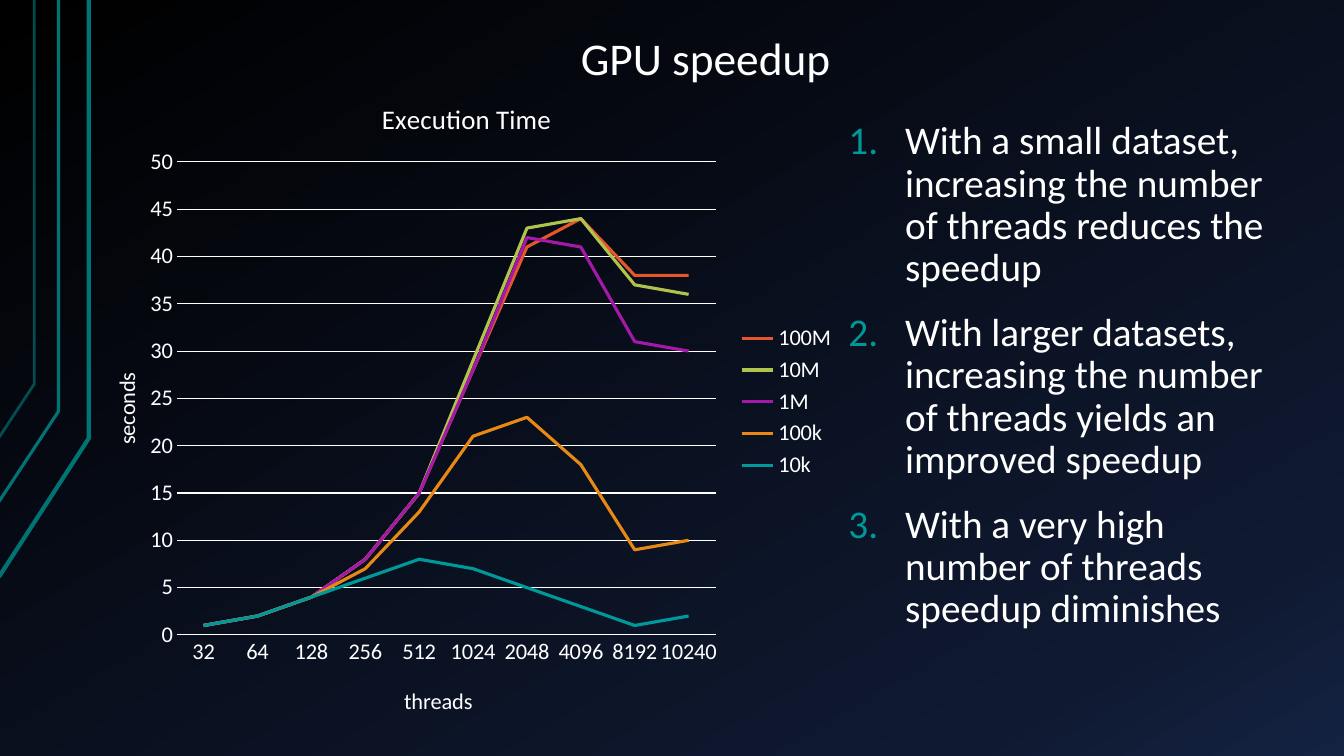
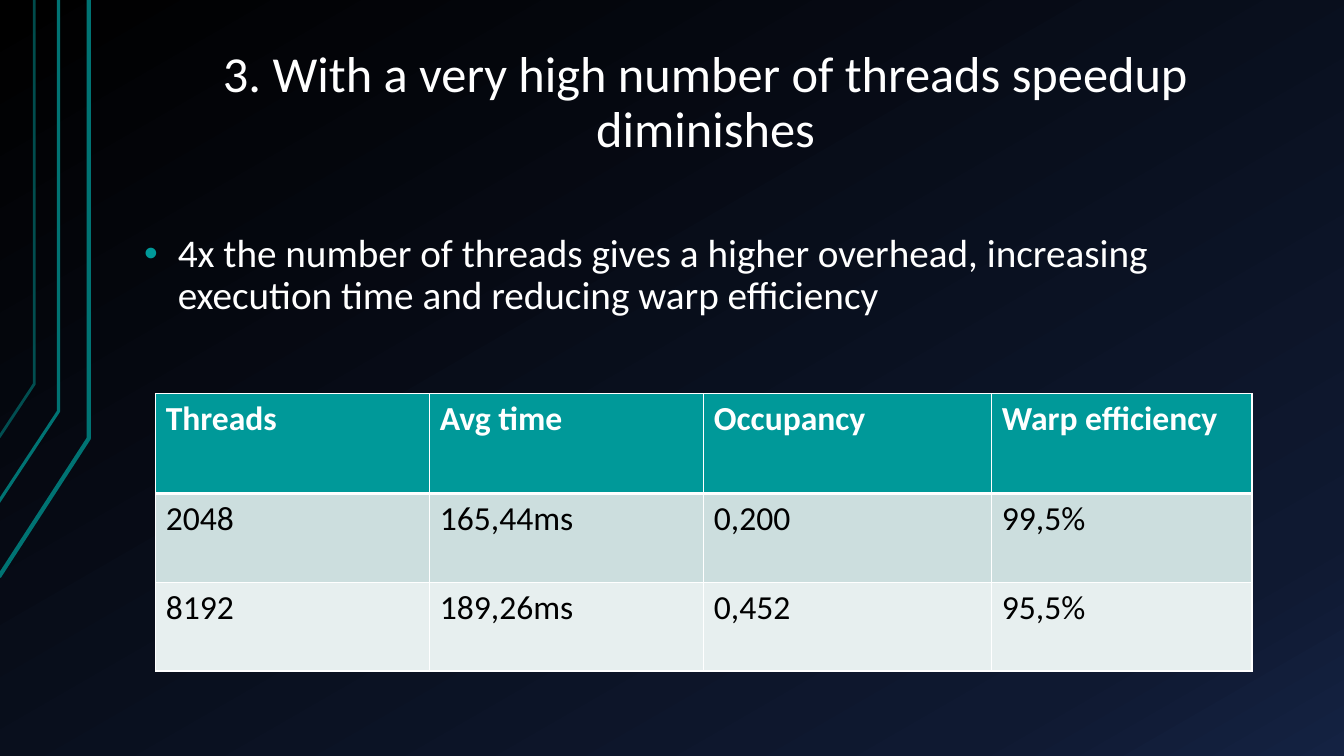
from dataclasses import dataclass

from lxml import etree
from pptx import Presentation
from pptx import util as u
from pptx.chart import data as cd
from pptx.dml import color as dc
from pptx.enum import chart as ce
from pptx.enum import text as te
from pptx.oxml import ns

Pt = u.Pt
FONT = "Calibri"
COLORS = {
    "white": "FFFFFF", "black": "000000", "navy": "0F1931", "blue": "142242",
    "teal": "009999", "stripe": "007373", "row_dark": "CCDEDE", "row_light": "E7EFEF",
    "red": "E5572B", "lime": "AFC34D", "purple": "A419A7", "orange": "E98915",
}


@dataclass(frozen=True)
class Box:
    x: float
    y: float
    w: float
    h: float

    def emu(self) -> tuple:
        return Pt(self.x), Pt(self.y), Pt(self.w), Pt(self.h)


@dataclass(frozen=True)
class Stripe:
    left: float
    bottom: float
    x: float
    bend: float
    width: float
    opacity: int


@dataclass(frozen=True)
class Series:
    name: str
    color: str
    values: tuple


@dataclass(frozen=True)
class Row:
    cells: tuple
    height: float
    fill: str
    color: str
    bold: bool
    top: float
    bottom: float


STRIPES = (
    Stripe(-0.7, 412, 63.4, 313.2, 3, 100),
    Stripe(-1.4, 359.3, 41.8, 293.8, 2.25, 100),
    Stripe(-0.7, 312.5, 24.5, 274.3, 2, 65),
)
THREADS = ("32", "64", "128", "256", "512", "1024", "2048", "4096", "8192", "10240")
SERIES = (
    Series("100M", "red", (1, 2, 4, 8, 15, 28, 41, 44, 38, 38)),
    Series("10M", "lime", (1, 2, 4, 8, 15, 29, 43, 44, 37, 36)),
    Series("1M", "purple", (1, 2, 4, 8, 15, 28, 42, 41, 31, 30)),
    Series("100k", "orange", (1, 2, 4, 7, 13, 21, 23, 18, 9, 10)),
    Series("10k", "teal", (1, 2, 4, 6, 8, 7, 5, 3, 1, 2)),
)
FINDINGS = (
    "With a small dataset, increasing the number of threads reduces the speedup",
    "With larger datasets, increasing the number of threads yields an improved speedup",
    "With a very high number of threads speedup diminishes",
)
COL_WIDTHS = (195.8, 195.8, 205.7, 185.8)
ROWS = (
    Row(("Threads", "Avg time", "Occupancy", "Warp efficiency"),
        71.3, "teal", "white", True, 1, 3),
    Row(("2048", "165,44ms", "0,200", "99,5%"), 63.4, "row_dark", "black", False, 3, 1),
    Row(("8192", "189,26ms", "0,452", "95,5%"), 63.4, "row_light", "black", False, 1, 1),
)


def rgb(name: str) -> dc.RGBColor:
    return dc.RGBColor.from_string(COLORS[name])


def sub(parent, tag: str, **attrs):
    return etree.SubElement(parent, ns.qn(tag), {k: str(v) for k, v in attrs.items()})


def style_font(font, size: float, color: str = "white", bold: bool = False) -> None:
    font.name = FONT
    font.size = Pt(size)
    font.bold = bold
    font.color.rgb = rgb(color)


def add_run(p, text: str, size: float, color: str = "white", bold: bool = False) -> None:
    r = p.add_run()
    r.text = text
    style_font(r.font, size, color, bold)


def add_text_frame(s, box: Box, inset_x: float, inset_y: float):
    tf = s.shapes.add_textbox(*box.emu()).text_frame
    tf.word_wrap = True
    tf.margin_left = tf.margin_right = Pt(inset_x)
    tf.margin_top = tf.margin_bottom = Pt(inset_y)
    return tf


def add_title(s, text: str, height: float, size: float) -> None:
    tf = add_text_frame(s, Box(96, 21.6, 816, height), 9.4, 5)
    tf.vertical_anchor = te.MSO_ANCHOR.BOTTOM
    p = tf.paragraphs[0]
    p.alignment = te.PP_ALIGN.CENTER
    p.line_spacing = 0.9
    add_run(p, text, size)


def add_list(tf, items: tuple, indent: float, numbered: bool) -> None:
    for i, item in enumerate(items):
        p = tf.add_paragraph() if i else tf.paragraphs[0]
        p.line_spacing = 0.9
        if i:
            p.space_before = Pt(16)
        ppr = p._p.get_or_add_pPr()
        ppr.set("marL", str(Pt(indent)))
        ppr.set("indent", str(-Pt(indent)))
        sub(sub(ppr, "a:buClr"), "a:srgbClr", val=COLORS["teal"])
        if numbered:
            sub(ppr, "a:buFont", typeface="+mj-lt")
            sub(ppr, "a:buAutoNum", type="arabicPeriod")
        else:
            sub(ppr, "a:buFont", typeface="Arial")
            sub(ppr, "a:buChar", char="•")
        add_run(p, item, 28)


def set_background(master) -> None:
    fill = master.background.fill
    fill.gradient()
    grad = master._element.find(".//" + ns.qn("p:bg")).find(".//" + ns.qn("a:gradFill"))
    for child in list(grad):
        grad.remove(child)
    stops = sub(grad, "a:gsLst")
    for pos, name in ((0, "black"), (85, "navy"), (100, "blue")):
        sub(sub(stops, "a:gs", pos=pos * 1000), "a:srgbClr", val=COLORS[name])
    sub(grad, "a:lin", ang=60 * 60000, scaled=0)


def add_stripe(s, stripe: Stripe) -> None:
    fb = s.shapes.build_freeform(Pt(stripe.left), Pt(stripe.bottom))
    fb.add_line_segments(
        [(Pt(stripe.x), Pt(stripe.bend)), (Pt(stripe.x), Pt(0))], close=False)
    sp = fb.convert_to_shape()
    sp.shadow.inherit = False
    sp.fill.background()
    sp.line.color.rgb = rgb("stripe")
    sp.line.width = Pt(stripe.width)
    if stripe.opacity < 100:
        clr = sp.line._ln.find(".//" + ns.qn("a:srgbClr"))
        sub(clr, "a:alpha", val=stripe.opacity * 1000)


def add_slide(prs, title: str, height: float, size: float):
    s = prs.slides.add_slide(prs.slide_layouts[6])
    for stripe in STRIPES:
        add_stripe(s, stripe)
    add_title(s, title, height, size)
    return s


def set_layout(element, x: float, y: float, w: float = 0, h: float = 0) -> None:
    layout = element.find(ns.qn("c:layout"))
    if layout is None:
        layout = etree.Element(ns.qn("c:layout"))
        element.insert(0, layout)
    manual = sub(layout, "c:manualLayout")
    if w:
        sub(manual, "c:layoutTarget", val="inner")
    sub(manual, "c:xMode", val="edge")
    sub(manual, "c:yMode", val="edge")
    for tag, value in (("c:x", x), ("c:y", y), ("c:w", w), ("c:h", h)):
        if value:
            sub(manual, tag, val=value)


def set_chart_title(title, text: str, size: float, x: float, y: float) -> None:
    add_run(title.text_frame.paragraphs[0], text, size)
    set_layout(title._element, x, y)


def style_axis(axis, title: str, x: float, y: float) -> None:
    axis.major_tick_mark = axis.minor_tick_mark = ce.XL_TICK_MARK.NONE
    style_font(axis.tick_labels.font, 16)
    axis.has_title = True
    set_chart_title(axis.axis_title, title, 16, x, y)


def add_time_chart(s, box: Box) -> None:
    data = cd.CategoryChartData()
    data.categories = THREADS
    for series in SERIES:
        data.add_series(series.name, series.values)
    chart = s.shapes.add_chart(ce.XL_CHART_TYPE.LINE, *box.emu(), data).chart
    style_font(chart.font, 16)
    chart.has_title = True
    set_chart_title(chart.chart_title, "Execution Time", 19.2, 0.39, 0.04)
    chart.has_legend = True
    chart.legend.position = ce.XL_LEGEND_POSITION.RIGHT
    chart.legend.include_in_layout = False
    style_font(chart.legend.font, 16)

    style_axis(chart.category_axis, "threads", 0.42, 0.92)
    line = chart.category_axis.format.line
    line.color.rgb = rgb("white")
    line.width = Pt(0.75)

    axis = chart.value_axis
    style_axis(axis, "seconds", 0.04, 0.45)
    axis.axis_title._element.find(".//" + ns.qn("a:bodyPr")).set("rot", "-5400000")
    axis.minimum_scale, axis.maximum_scale, axis.major_unit = 0, 50, 5
    axis.format.line.fill.background()
    axis.has_major_gridlines = True
    grid = axis.major_gridlines.format.line
    grid.color.rgb = rgb("white")
    grid.width = Pt(0.75)

    plot = chart.plots[0]
    plot.vary_by_categories = False
    for series, item in zip(plot.series, SERIES):
        series.smooth = False
        series.format.line.color.rgb = rgb(item.color)
        series.format.line.width = Pt(2.25)
    set_layout(chart._chartSpace.find(".//" + ns.qn("c:plotArea")), 0.13, 0.14, 0.7, 0.71)


def set_borders(cell, top: float, bottom: float) -> None:
    tcpr = cell._tc.get_or_add_tcPr()
    sides = (("a:lnL", 1), ("a:lnR", 1), ("a:lnT", top), ("a:lnB", bottom))
    for i, (tag, width) in enumerate(sides):
        ln = etree.Element(ns.qn(tag), {"w": str(Pt(width))})
        sub(sub(ln, "a:solidFill"), "a:srgbClr", val=COLORS["white"])
        tcpr.insert(i, ln)


def add_results_table(s, x: float, y: float) -> None:
    box = Box(x, y, sum(COL_WIDTHS), sum(row.height for row in ROWS))
    table = s.shapes.add_table(len(ROWS), len(COL_WIDTHS), *box.emu()).table
    for col, width in zip(table.columns, COL_WIDTHS):
        col.width = Pt(width)
    for i, row in enumerate(ROWS):
        table.rows[i].height = Pt(row.height)
        for cell, text in zip(table.rows[i].cells, row.cells):
            cell.fill.solid()
            cell.fill.fore_color.rgb = rgb(row.fill)
            add_run(cell.text_frame.paragraphs[0], text, 24, row.color, row.bold)
            set_borders(cell, row.top, row.bottom)


def main() -> None:
    prs = Presentation()
    prs.slide_width, prs.slide_height = Pt(960), Pt(540)
    set_background(prs.slide_master)

    s = add_slide(prs, "GPU speedup", 44, 32.4)
    add_list(add_text_frame(s, Box(599, 82.8, 335, 422), 7.2, 3.6), FINDINGS, 40.5, True)
    add_time_chart(s, Box(54.7, 49, 550, 476))

    s = add_slide(prs, "3. With a very high number of threads speedup diminishes", 96.5, 36)
    overhead = ("4x the number of threads gives a higher overhead, increasing "
                "execution time and reducing warp efficiency")
    add_list(add_text_frame(s, Box(93.6, 162, 821, 90.7), 9.4, 5), (overhead,), 24, False)
    add_results_table(s, 111.2, 281.2)

    prs.save("out.pptx")


if __name__ == "__main__":
    main()
